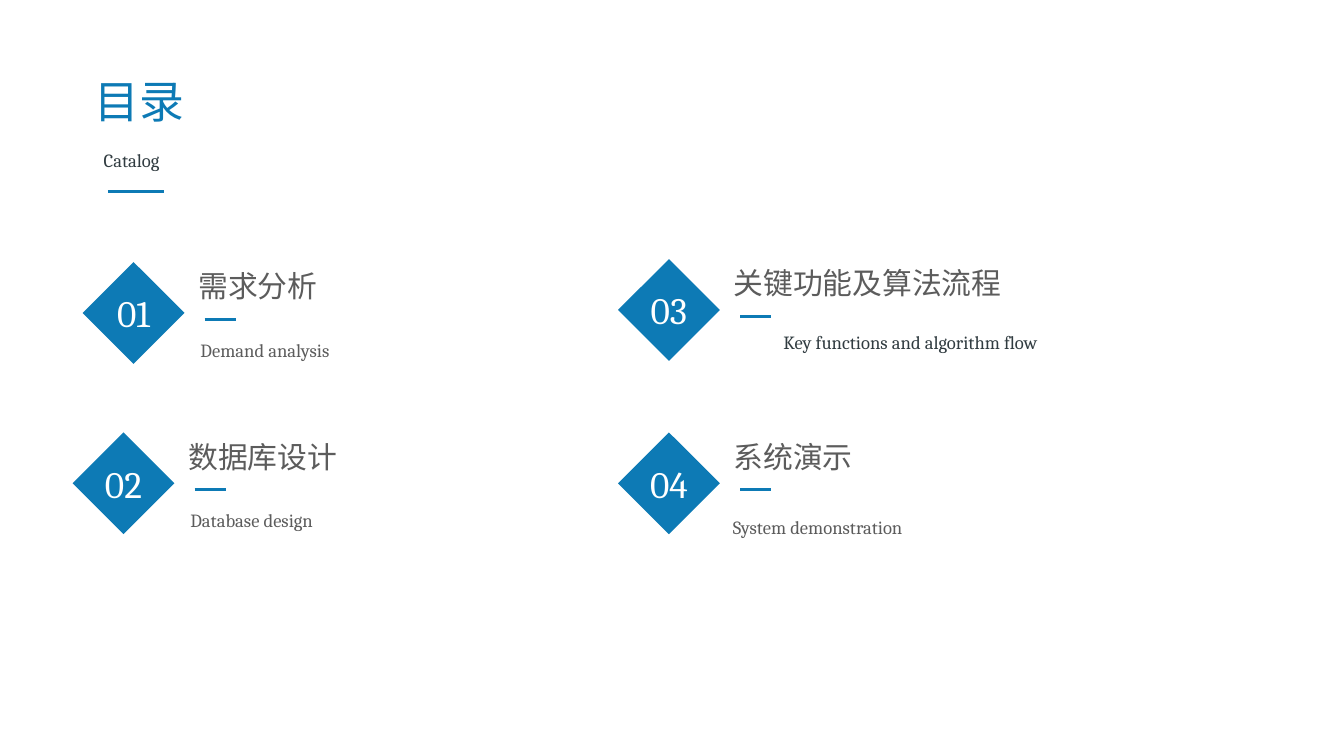
from dataclasses import dataclass

import pptx
import pptx.dml.color
import pptx.enum.shapes
import pptx.enum.text
import pptx.oxml.ns
import pptx.util
from lxml import etree

PX = 9144  # EMU per px, 100 px to the inch
DIAMOND = 101
HEADING_DX, RULE_DX, RULE_DY, RULE_LEN = 105, 121, 57, 31
NOTE_WIDTH = 436

PP_ALIGN = pptx.enum.text.PP_ALIGN
MSO_ANCHOR = pptx.enum.text.MSO_ANCHOR
MSO_AUTO_SIZE = pptx.enum.text.MSO_AUTO_SIZE


@dataclass(frozen=True)
class Theme:
    font: str = "Cambria"
    accent: str = "0D7AB5"
    dark: str = "313C41"
    gray: str = "5C5C5C"
    white: str = "FFFFFF"
    title: float = 32
    number: float = 26.7
    heading: float = 21.3
    note: float = 13.3
    rule: float = 2


@dataclass(frozen=True)
class Entry:
    number: str
    heading: str
    note: str
    left: int
    top: int
    note_dx: int = 107
    note_dy: int = 60
    note_height: int = 40
    note_color: str = "5C5C5C"
    note_align: PP_ALIGN = PP_ALIGN.LEFT
    note_spacing: float = 1.5


THEME = Theme()
ENTRIES = [
    Entry("01", "需求分析", "Demand analysis", 82, 260),
    Entry("02", "数据库设计", "Database design", 72, 429),
    Entry("03", "关键功能及算法流程", "Key functions and algorithm flow", 613, 257,
          note_dx=72, note_height=37, note_color=THEME.dark,
          note_align=PP_ALIGN.CENTER, note_spacing=1.3),
    Entry("04", "系统演示", "System demonstration", 613, 429,
          note_dx=104, note_dy=67),
]


def px(*lengths: int) -> list[pptx.util.Emu]:
    return [pptx.util.Emu(n * PX) for n in lengths]


def rgb(color: str) -> pptx.dml.color.RGBColor:
    return pptx.dml.color.RGBColor.from_string(color)


def write(sp, text: str, size: float, color: str, align=PP_ALIGN.LEFT,
          spacing: float = 1.0, wrap: bool = False,
          anchor=MSO_ANCHOR.TOP, auto_size=MSO_AUTO_SIZE.SHAPE_TO_FIT_TEXT) -> None:
    """Fill a shape with one formatted paragraph."""
    tf = sp.text_frame
    p = tf.paragraphs[0]
    r = p.add_run()
    r.text = text
    formats = {
        tf: {"word_wrap": wrap, "auto_size": auto_size, "vertical_anchor": anchor},
        p: {"alignment": align, "line_spacing": spacing},
    }
    for target, values in formats.items():
        for name, value in values.items():
            setattr(target, name, value)
    for name, value in {"name": THEME.font, "size": pptx.util.Pt(size)}.items():
        setattr(r.font, name, value)
    r.font.color.rgb = rgb(color)


def add_rule(slide, left: int, top: int, length: int) -> None:
    line = slide.shapes.add_connector(
        pptx.enum.shapes.MSO_CONNECTOR.STRAIGHT, *px(left, top, left + length, top))
    line.line.color.rgb = rgb(THEME.accent)
    line.line.width = pptx.util.Pt(THEME.rule)
    etree.SubElement(line._element.spPr, pptx.oxml.ns.qn("a:effectLst"))


def add_header(slide) -> None:
    title = slide.shapes.title
    for name, value in zip(("left", "top", "width", "height"), px(84, 68, 110, 64)):
        setattr(title, name, value)
    write(title, "目录", THEME.title, THEME.accent)
    subtitle = slide.shapes.add_textbox(*px(93, 132, 117, 40))
    write(subtitle, "Catalog", THEME.note, THEME.dark, spacing=1.5, wrap=True)
    add_rule(slide, 107, 190, 56)


def add_entry(slide, entry: Entry) -> None:
    left, top = entry.left, entry.top

    # Numbered diamond
    sp = slide.shapes.add_shape(
        pptx.enum.shapes.MSO_SHAPE.DIAMOND, *px(left, top, DIAMOND, DIAMOND))
    sp.shadow.inherit = False
    sp.fill.solid()
    sp.fill.fore_color.rgb = rgb(THEME.accent)
    sp.line.fill.background()
    write(sp, entry.number, THEME.number, THEME.white, PP_ALIGN.CENTER,
          anchor=MSO_ANCHOR.MIDDLE, auto_size=MSO_AUTO_SIZE.NONE)

    # Heading, as wide as its characters, and the rule below it
    width = 20 + 30 * len(entry.heading)
    heading = slide.shapes.add_textbox(*px(left + HEADING_DX, top + 1, width, 46))
    write(heading, entry.heading, THEME.heading, THEME.gray)
    add_rule(slide, left + RULE_DX, top + RULE_DY, RULE_LEN)

    # English note
    note = slide.shapes.add_textbox(
        *px(left + entry.note_dx, top + entry.note_dy, NOTE_WIDTH, entry.note_height))
    write(note, entry.note, THEME.note, entry.note_color, entry.note_align,
          entry.note_spacing, wrap=True)


def main() -> None:
    prs = pptx.Presentation()
    prs.slide_width, prs.slide_height = px(1333, 750)
    slide = prs.slides.add_slide(prs.slide_layouts[5])  # title only
    add_header(slide)
    for entry in ENTRIES:
        add_entry(slide, entry)
    prs.save("out.pptx")


if __name__ == "__main__":
    main()
